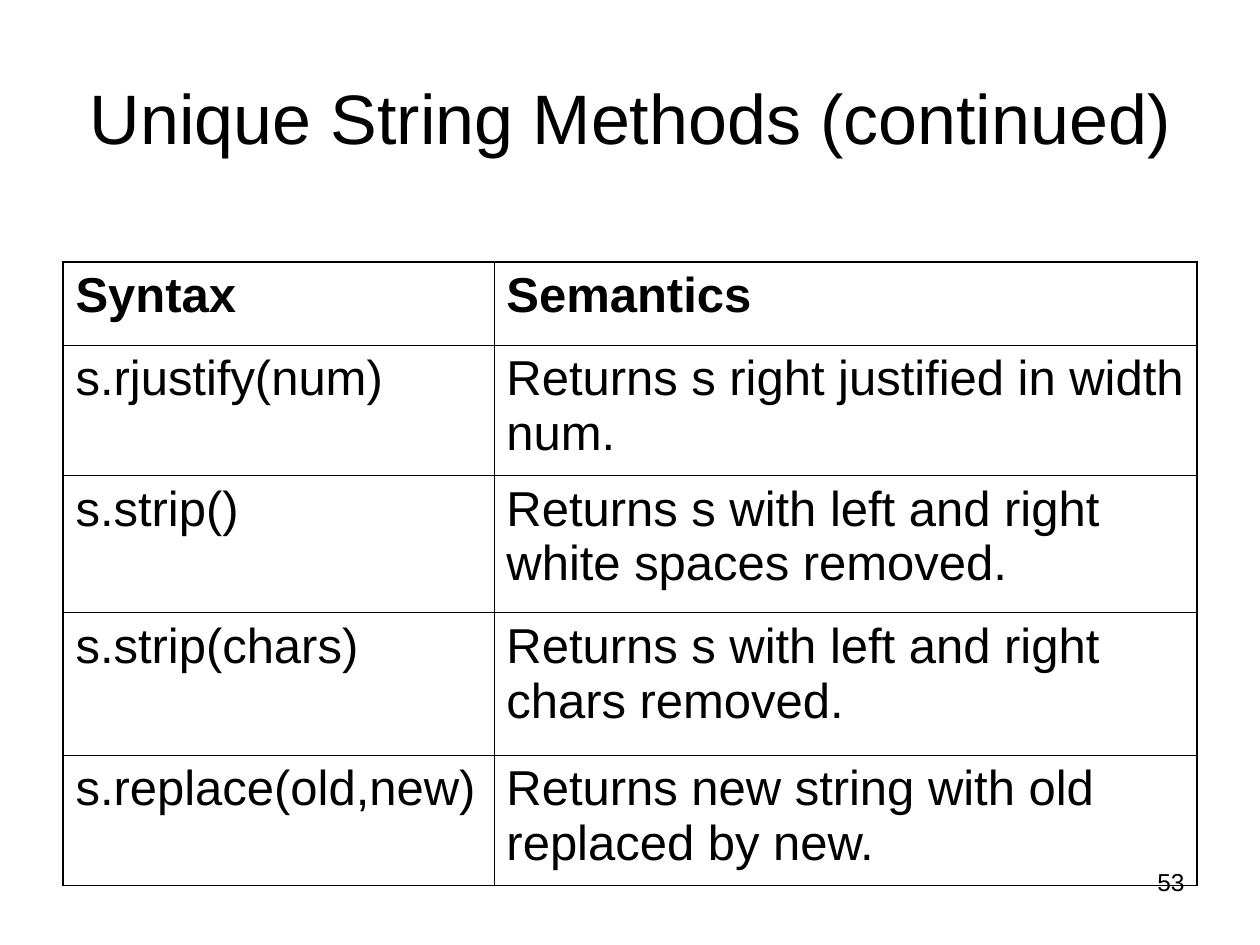
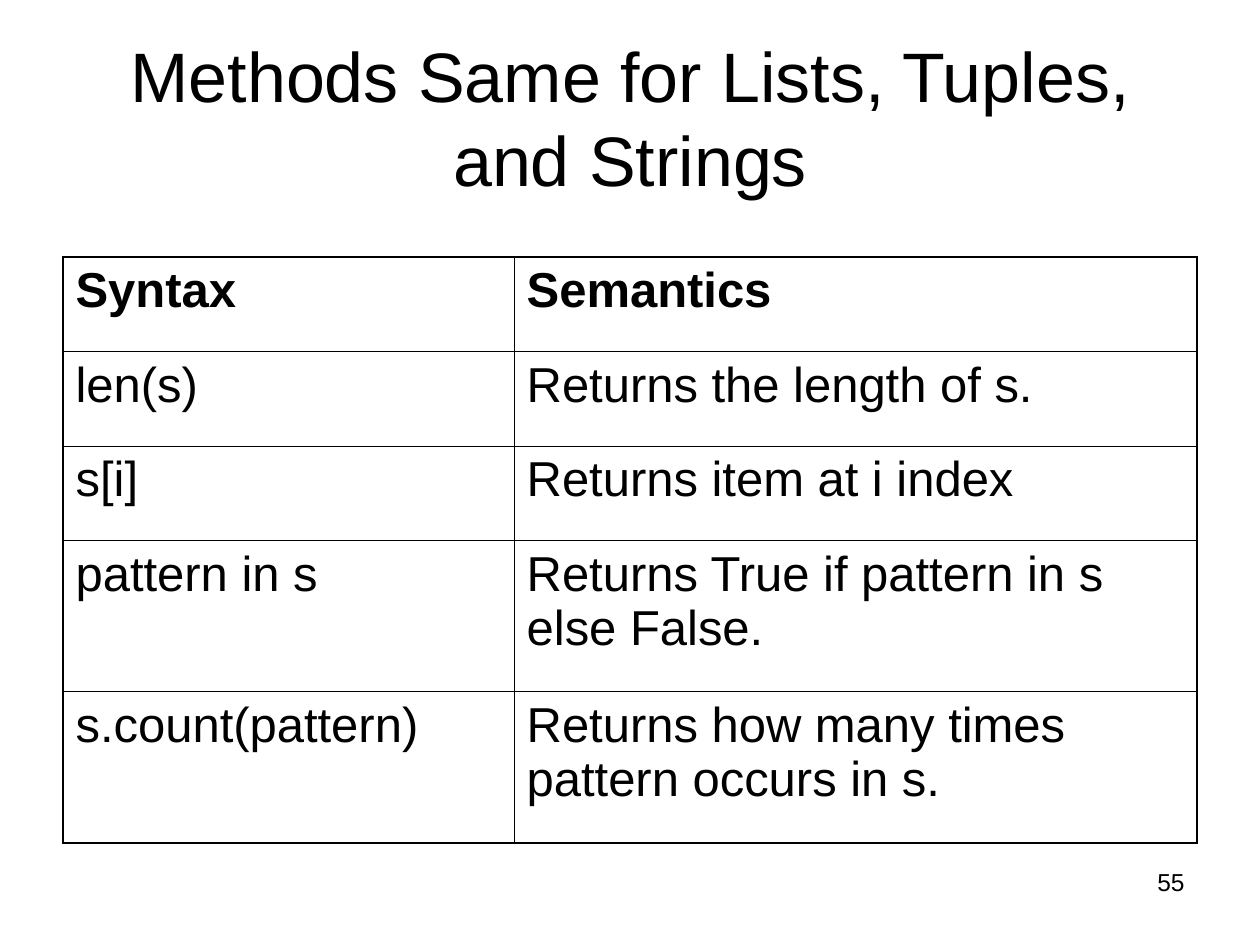
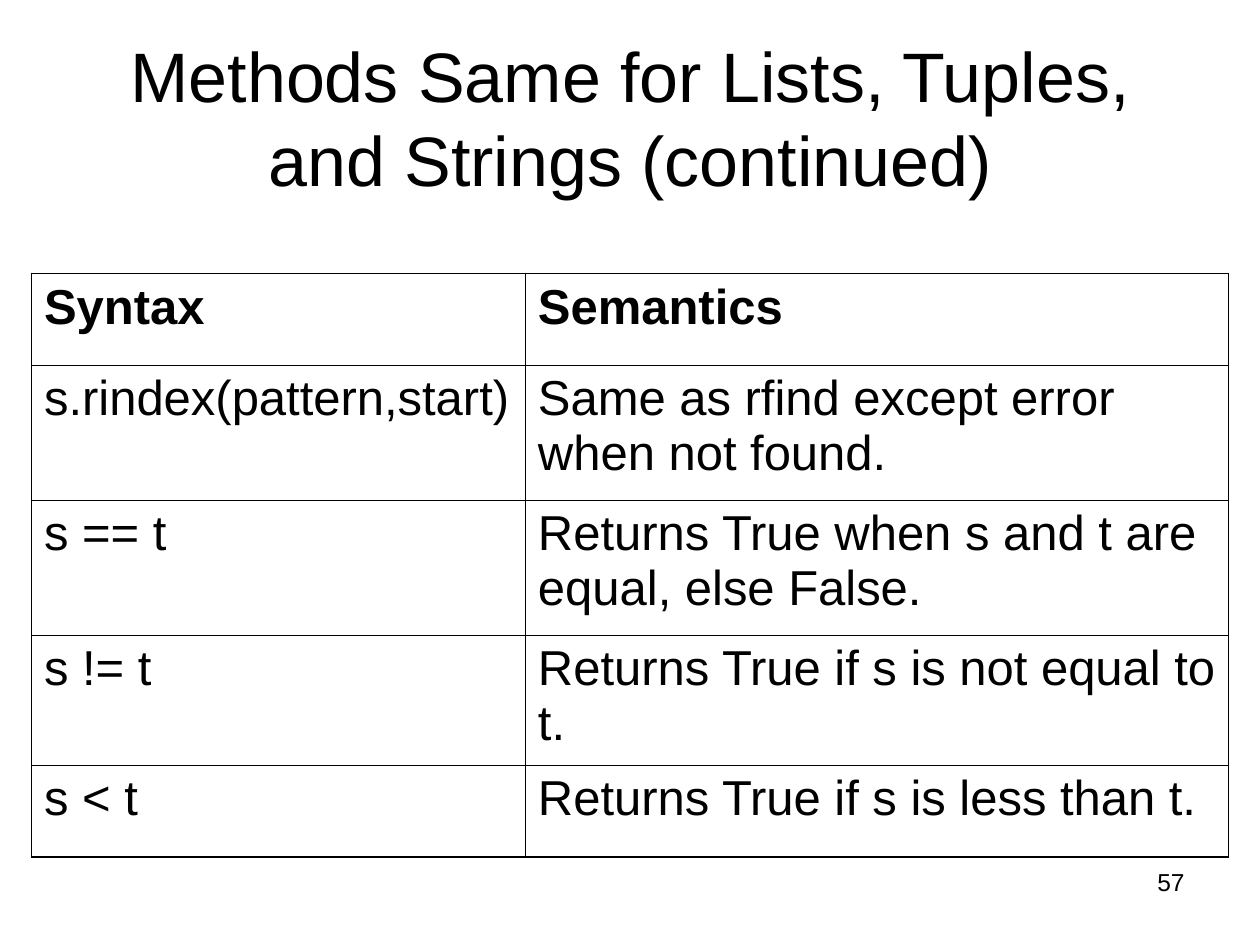
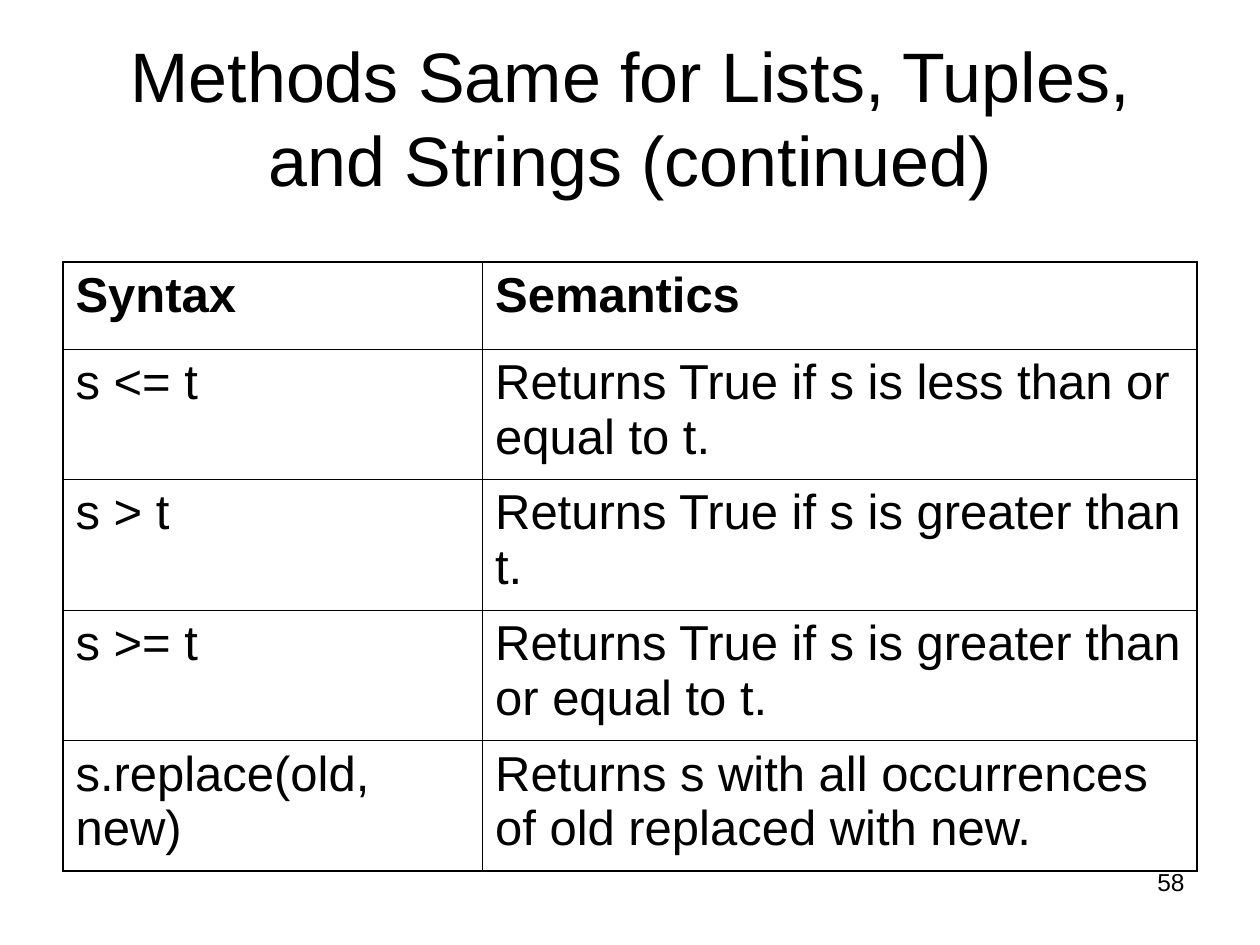
from lxml import etree
from pptx import Presentation
from pptx import util as u
from pptx.dml.color import RGBColor
from pptx.enum import text as t
from pptx.oxml import ns

COLORS = {"ink": "000000", "paper": "FFFFFF"}
FONT = "Arial"
OUTER_LINE, INNER_LINE = 1.08, 0.45  # points


def write(frame, content, size, bold=False, align=t.PP_ALIGN.LEFT, leading=None):
    """Put one formatted paragraph into a text frame."""
    frame.word_wrap = True
    paragraph = frame.paragraphs[0]
    paragraph.alignment = align
    if leading:
        paragraph.line_spacing = u.Pt(leading)
    run = paragraph.add_run()
    run.text = content
    run.font.name = FONT
    run.font.size = u.Pt(size)
    run.font.bold = bold
    run.font.color.rgb = RGBColor.from_string(COLORS["ink"])


def add_border(cell, side, width):
    """Draw one side of a cell: L, R, T or B, in that order."""
    line = etree.SubElement(cell._tc.get_or_add_tcPr(), ns.qn(f"a:ln{side}"),
                            w=str(u.Pt(width)))
    fill = etree.SubElement(line, ns.qn("a:solidFill"))
    etree.SubElement(fill, ns.qn("a:srgbClr"), val=COLORS["ink"])


class Deck:
    def __init__(self):
        self.prs = Presentation()
        self.prs.slide_width, self.prs.slide_height = u.Inches(10), u.Inches(7.5)
        background = self.prs.slide_master.background.fill
        background.solid()
        background.fore_color.rgb = RGBColor.from_string(COLORS["paper"])
        self.slide = None

    def new_slide(self, heading, number):
        self.slide = self.prs.slides.add_slide(self.prs.slide_layouts[5])
        self.title(heading)
        self.page_number(number)

    def title(self, heading):
        title = self.slide.shapes.title
        title.left, title.top = u.Inches(0.5), u.Inches(0.3)
        title.width, title.height = u.Inches(9), u.Inches(1.25)
        frame = title.text_frame
        frame.auto_size = t.MSO_AUTO_SIZE.NONE
        frame.vertical_anchor = t.MSO_ANCHOR.MIDDLE
        write(frame, heading, 40, align=t.PP_ALIGN.CENTER, leading=48)

    def page_number(self, number):
        box = self.slide.shapes.add_textbox(
            u.Inches(7.17), u.Inches(6.83), u.Inches(2.33), u.Inches(0.52))
        write(box.text_frame, str(number), 14, align=t.PP_ALIGN.RIGHT)

    def methods_table(self, top, widths, heights, methods):
        """Place a horizontally centred table under a bold header row."""
        rows = [("Syntax", "Semantics"), *methods]
        total = sum(widths)
        table = self.slide.shapes.add_table(
            len(rows), len(widths), u.Inches((10 - total) / 2), u.Inches(top),
            u.Inches(total), u.Inches(sum(heights))).table
        table.first_row = table.horz_banding = False
        for column, width in zip(table.columns, widths):
            column.width = u.Inches(width)
        for row, height in zip(table.rows, heights):
            row.height = u.Inches(height)

        last_row, last_column = len(rows) - 1, len(widths) - 1
        for r, entries in enumerate(rows):
            for c, entry in enumerate(entries):
                cell = table.cell(r, c)
                outer_sides = {"L": c == 0, "R": c == last_column,
                               "T": r == 0, "B": r == last_row}
                for side, is_outer in outer_sides.items():
                    add_border(cell, side, OUTER_LINE if is_outer else INNER_LINE)
                cell.fill.background()
                write(cell.text_frame, entry, 28, bold=r == 0)


SHARED_HEADING = "Methods Same for Lists, Tuples, and Strings"


def main():
    deck = Deck()

    # String-only methods
    deck.new_slide("Unique String Methods (continued)", 53)
    deck.methods_table(2.08, (3.42, 5.58), (0.66, 1.03, 1.09, 1.13, 1.03), [
        ("s.rjustify(num)", "Returns s right justified in width num."),
        ("s.strip()", "Returns s with left and right white spaces removed."),
        ("s.strip(chars)", "Returns s with left and right chars removed."),
        ("s.replace(old,new)", "Returns new string with old replaced by new."),
    ])

    # Shared methods: length, indexing, membership
    deck.new_slide(SHARED_HEADING, 55)
    deck.methods_table(2.04, (3.58, 5.42), (0.75, 0.75, 0.75, 1.2, 1.2), [
        ("len(s)", "Returns the length of s."),
        ("s[i]", "Returns item at i index"),
        ("pattern in s", "Returns True if pattern in s else False."),
        ("s.count(pattern)", "Returns how many times pattern occurs in s."),
    ])

    # Shared methods: searching and equality
    deck.new_slide(f"{SHARED_HEADING} (continued)", 57)
    deck.methods_table(2.17, (3.92, 5.58), (0.73, 1.07, 1.07, 1.03, 0.73), [
        ("s.rindex(pattern,start)", "Same as rfind except error when not found."),
        ("s == t", "Returns True when s and t are equal, else False."),
        ("s != t", "Returns True if s is not equal to t."),
        ("s < t", "Returns True if s is less than t."),
    ])

    # Shared methods: ordering and replacement
    deck.new_slide(f"{SHARED_HEADING} (continued)", 58)
    deck.methods_table(2.08, (3.33, 5.67), (0.69, 1.03, 1.04, 1.03, 1.03), [
        ("s <= t", "Returns True if s is less than or equal to t."),
        ("s > t", "Returns True if s is greater than t."),
        ("s >= t", "Returns True if s is greater than or equal to t."),
        ("s.replace(old, new)",
         "Returns s with all occurrences of old replaced with new."),
    ])

    deck.prs.save("out.pptx")


if __name__ == "__main__":
    main()
